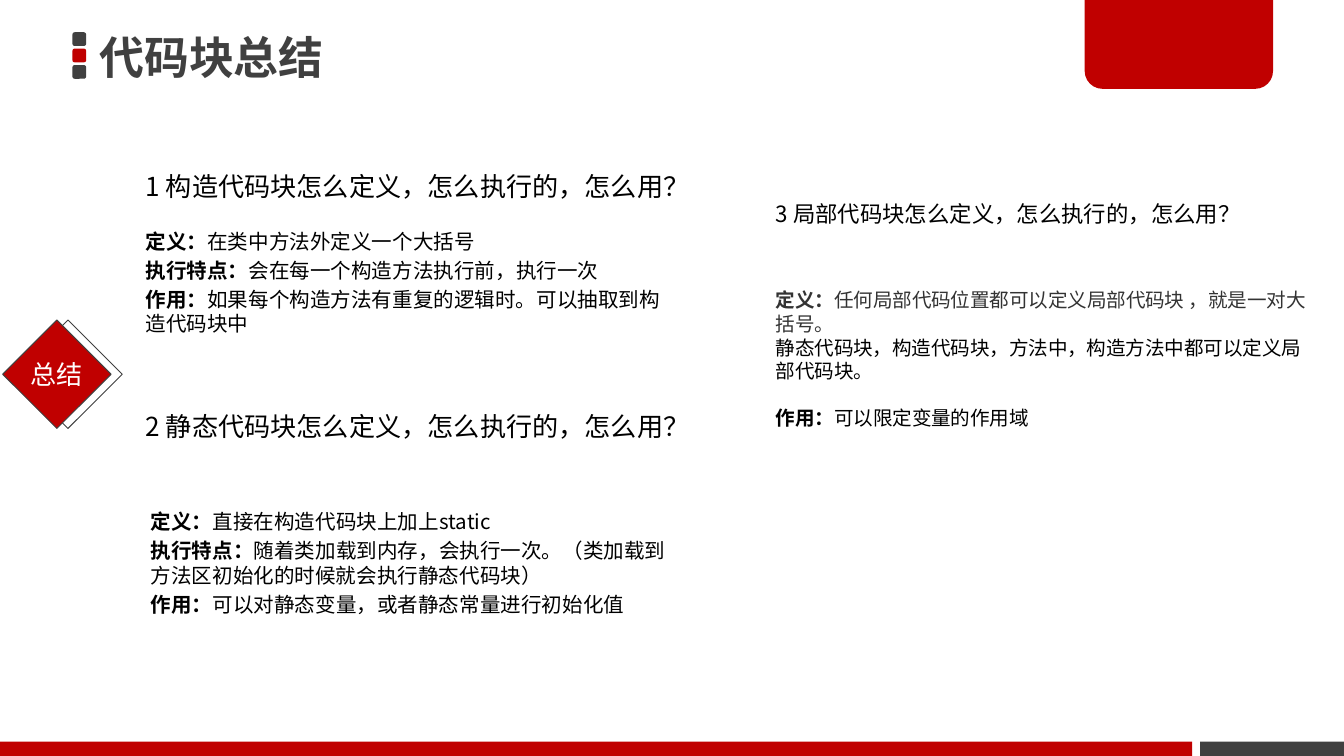
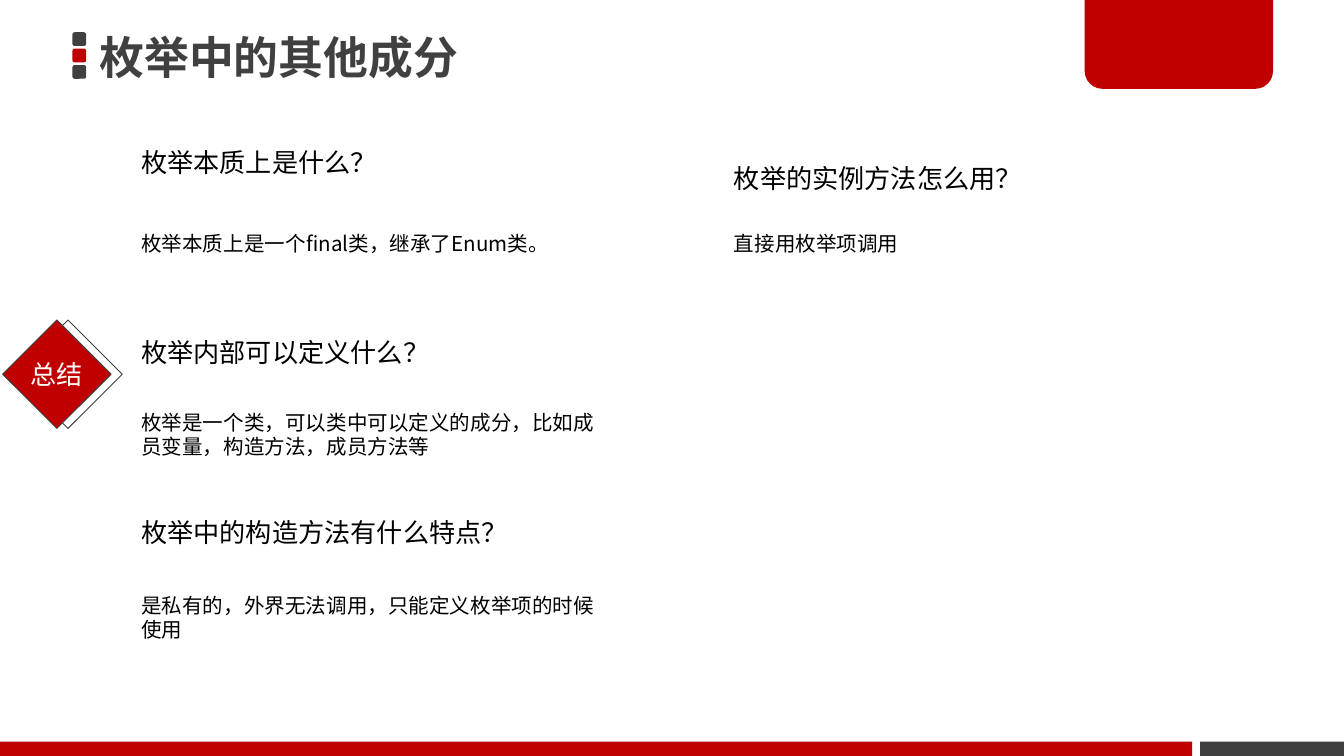
from dataclasses import dataclass

from lxml.etree import SubElement
from pptx import Presentation
from pptx.dml.color import RGBColor
from pptx.enum.shapes import MSO_SHAPE
from pptx.enum.text import MSO_ANCHOR, MSO_AUTO_SIZE, PP_ALIGN
from pptx.oxml.ns import qn
from pptx.util import Cm, Pt

RED = RGBColor(0xC0, 0x00, 0x00)
CHARCOAL = RGBColor(0x40, 0x40, 0x40)
GREY = RGBColor(0x33, 0x33, 0x33)
BLACK = RGBColor(0x00, 0x00, 0x00)
WHITE = RGBColor(0xFF, 0xFF, 0xFF)
FONT = "Noto Sans CJK JP"
COMPARISON_LAYOUT = 4


@dataclass
class Box:
    """A rectangle in centimetres."""
    left: float
    top: float
    width: float
    height: float

    def lengths(self):
        """Return the four lengths in slide units."""
        return Cm(self.left), Cm(self.top), Cm(self.width), Cm(self.height)


@dataclass
class Line:
    """One paragraph of an answer: a bold label, its text, colour and gap above."""
    label: str
    text: str
    color: RGBColor = BLACK
    gap: float = 2.2


@dataclass
class Question:
    """A heading and its answer, with their boxes and text sizes."""
    heading: str
    heading_box: Box
    lines: list
    answer_box: Box
    drop: float
    heading_size: float = 14
    heading_spacing: float = 1.5
    answer_size: float = 11


def format_span(span, size, color, bold=False):
    """Set the font of a run for Latin and East Asian text."""
    font = span.font
    font.name, font.size, font.bold = FONT, Pt(size), bold
    font.color.rgb = color
    SubElement(font._element, qn("a:ea")).set("typeface", FONT)


def prepare_frame(shape, anchor, drop=0.1):
    """Set wrapping, margins and anchor, and return the text frame."""
    frame = shape.text_frame
    frame.word_wrap = True
    frame.auto_size = MSO_AUTO_SIZE.NONE
    frame.vertical_anchor = anchor
    frame.margin_left = frame.margin_right = Cm(0.18)
    frame.margin_top, frame.margin_bottom = Cm(drop), Cm(0.1)
    return frame


def place(shape, box):
    """Move a shape into a box."""
    shape.left, shape.top, shape.width, shape.height = box.lengths()


def add_block(page, kind, box, fill=None, line=None):
    """Add a flat preset shape."""
    shape = page.shapes.add_shape(kind, *box.lengths())
    shape.shadow.inherit = False
    if fill is None:
        shape.fill.background()
    else:
        shape.fill.solid()
        shape.fill.fore_color.rgb = fill
    if line is None:
        shape.line.fill.background()
    else:
        shape.line.color.rgb = line
        shape.line.width = Pt(0.5)
    return shape


def add_label(page, box, text, size, color, anchor=MSO_ANCHOR.TOP):
    """Add a one-paragraph text box and return its paragraph."""
    frame = prepare_frame(page.shapes.add_textbox(*box.lengths()), anchor)
    frame.text = text
    para = frame.paragraphs[0]
    format_span(para.runs[0], size, color)
    return para


def add_title(page, box, text):
    """Fill the title with its three marker squares to the left."""
    for row, color in enumerate((CHARCOAL, RED, CHARCOAL)):
        square = Box(box.left - 0.33, box.top + 0.08 + row * 0.31, 0.26, 0.26)
        add_block(page, MSO_SHAPE.ROUNDED_RECTANGLE, square, color)
    title = page.shapes.title
    place(title, box)
    frame = prepare_frame(title, MSO_ANCHOR.MIDDLE)
    frame.text = text
    para = frame.paragraphs[0]
    para.alignment = PP_ALIGN.LEFT
    format_span(para.runs[0], 24, CHARCOAL, True)


def add_bands(page):
    """Draw the corner tab and the footer bands."""
    tab = add_block(page, MSO_SHAPE.ROUND_2_SAME_RECTANGLE, Box(20.5, 0, 3.56, 1.68), RED)
    tab.adjustments[0], tab.adjustments[1] = 0, 0.2
    add_block(page, MSO_SHAPE.RECTANGLE, Box(0, 14.02, 22.53, 0.27), RED)
    add_block(page, MSO_SHAPE.RECTANGLE, Box(22.68, 14.02, 2.72, 0.27), CHARCOAL)


def add_badge(page, box):
    """Draw the double diamond with the summary label."""
    for shift, fill in ((0.51, None), (0.3, RED)):
        diamond = Box(box.left + shift, box.top - 0.38, 1.45, 1.45)
        add_block(page, MSO_SHAPE.RECTANGLE, diamond, fill, CHARCOAL).rotation = 45
    para = add_label(page, box, "总结", 14, WHITE, MSO_ANCHOR.MIDDLE)
    para.alignment = PP_ALIGN.CENTER
    para.line_spacing = 0.9


def fill_answer(body, question):
    """Write the answer of a question into a body placeholder."""
    place(body, question.answer_box)
    frame = prepare_frame(body, MSO_ANCHOR.TOP, question.drop)
    size = question.answer_size
    for index, line in enumerate(question.lines):
        para = frame.add_paragraph() if index else frame.paragraphs[0]
        properties = para._p.get_or_add_pPr()
        properties.set("marL", "0")
        properties.set("indent", "0")
        SubElement(properties, qn("a:buNone"))
        para.alignment = PP_ALIGN.LEFT
        para.line_spacing = Pt(size * 1.2)
        para.space_before = Pt(line.gap if index else 0)
        for text, bold in ((line.label, True), (line.text, False)):
            if text:
                span = para.add_run()
                span.text = text
                format_span(span, size, line.color, bold)


def add_summary_page(deck, title, questions):
    """Add a summary page of headings and answers."""
    page = deck.slides.add_slide(deck.slide_layouts[COMPARISON_LAYOUT])
    bodies = list(page.placeholders)[1:]
    add_bands(page)
    add_badge(page, Box(0.05, 6.73, 2.03, 0.76))
    add_title(page, Box(1.7, 0.53, 14.45, 1.07), title)
    for question, body in zip(questions, bodies):
        size = question.heading_size
        para = add_label(page, question.heading_box, question.heading, size, BLACK)
        para.line_spacing = Pt(size * 1.22 * question.heading_spacing)
        fill_answer(body, question)
    for body in bodies[len(questions):]:
        body.element.getparent().remove(body.element)


def code_block_questions():
    """Return the questions about code blocks."""
    return [
        Question(
            "1 构造代码块怎么定义，怎么执行的，怎么用？", Box(2.57, 2.82, 11.13, 1.47),
            [Line("定义：", "在类中方法外定义一个大括号"),
             Line("执行特点：", "会在每一个构造方法执行前，执行一次"),
             Line("作用：", "如果每个构造方法有重复的逻辑时。可以抽取到构造代码块中")],
            Box(2.57, 4.06, 10.24, 2.92), 0.27),
        Question(
            "2 静态代码块怎么定义，怎么执行的，怎么用？", Box(2.57, 7.34, 10.41, 1.47),
            [Line("定义：", "直接在构造代码块上加上static"),
             Line("执行特点：", "随着类加载到内存，会执行一次。（类加载到方法区初始化的时候就会执行静态代码块）"),
             Line("作用：", "可以对静态变量，或者静态常量进行初始化值")],
            Box(2.67, 9.3, 10.21, 2.69), 0.33),
        Question(
            "3 局部代码块怎么定义，怎么执行的，怎么用？", Box(14.48, 3.15, 10.41, 1.85),
            [Line("定义：", "任何局部代码位置都可以定义局部代码块 ，就是一对大括号。", GREY),
             Line("", "静态代码块，构造代码块，方法中，构造方法中都可以定义局部代码块。", gap=0),
             Line("作用：", "可以限定变量的作用域", gap=12.6)],
            Box(14.48, 5.26, 10.41, 2.9), 0.19, 12, 2, 10.5),
    ]


def enum_questions():
    """Return the questions about enums, three on the left and one on the right."""
    left, right = (2.49, 9.22), (13.69, 9.63)
    rows = [
        ("枚举本质上是什么？", "枚举本质上是一个final类，继承了Enum类。", left, 2.36, 3.81, 0.56, 1.5),
        ("枚举内部可以定义什么？", "枚举是一个类，可以类中可以定义的成分，比如成员变量，构造方法，成员方法等",
         left, 5.94, 7.42, 0.32, 1.5),
        ("枚举中的构造方法有什么特点？", "是私有的，外界无法调用，只能定义枚举项的时候使用",
         left, 9.35, 10.9, 0.3, 1.5),
        ("枚举的实例方法怎么用？", "直接用枚举项调用", right, 2.36, 3.81, 0.56, 2),
    ]
    return [
        Question(heading, Box(x, heading_top, width, 1.07), [Line("", answer)],
                 Box(x, answer_top, width, 1.47), drop, heading_spacing=spacing)
        for heading, answer, (x, width), heading_top, answer_top, drop, spacing in rows
    ]


def main():
    """Build and save the deck."""
    deck = Presentation()
    deck.slide_width, deck.slide_height = Cm(25.4), Cm(14.29)
    add_summary_page(deck, "代码块总结", code_block_questions())
    add_summary_page(deck, "枚举中的其他成分", enum_questions())
    deck.save("out.pptx")


if __name__ == "__main__":
    main()
